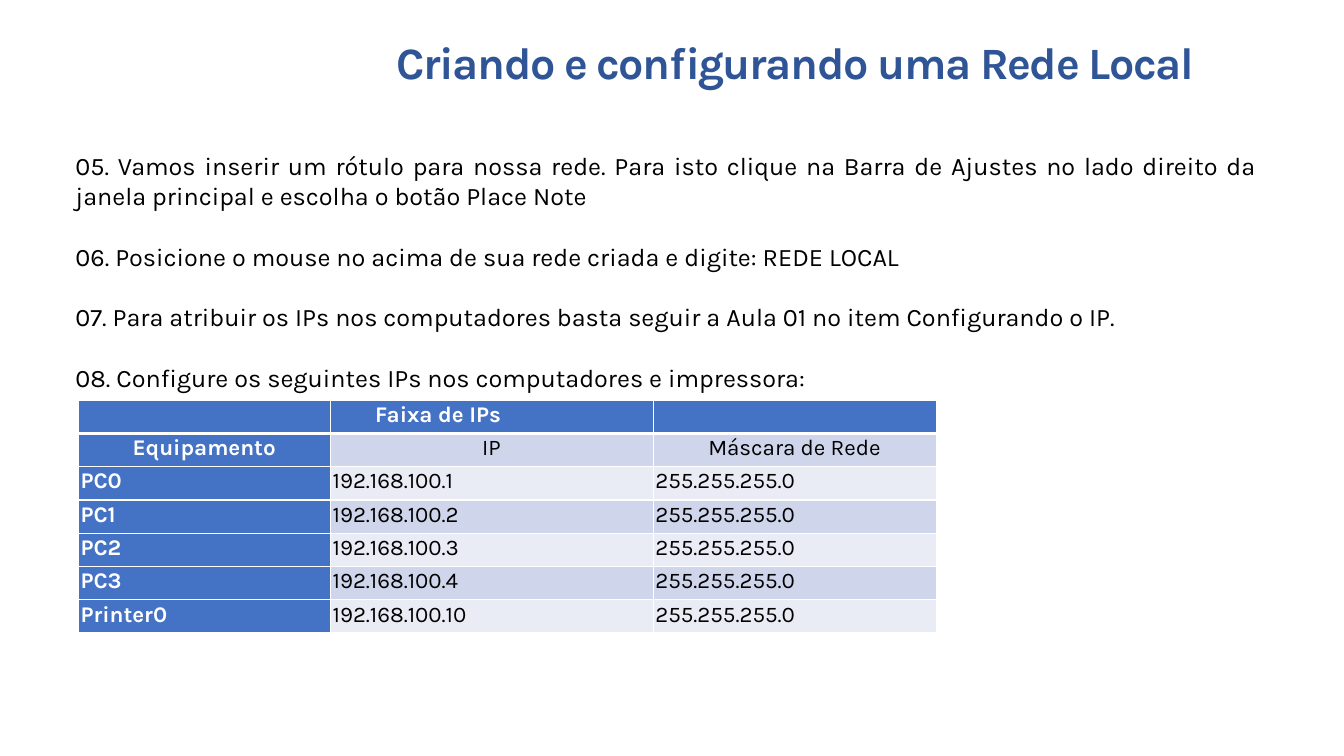
from dataclasses import dataclass

from lxml.etree import SubElement
from pptx import Presentation
from pptx.dml.color import RGBColor
from pptx.enum.text import PP_ALIGN
from pptx.oxml import parse_xml
from pptx.oxml.ns import nsdecls
from pptx.slide import Slide
from pptx.table import _Cell
from pptx.text.text import _Paragraph
from pptx.util import Inches, Pt

FONT = "Karla"
BLACK = RGBColor(0x00, 0x00, 0x00)
WHITE = RGBColor(0xFF, 0xFF, 0xFF)
TITLE_BLUE = RGBColor(0x2F, 0x55, 0x97)
HEADER_BLUE = RGBColor(0x44, 0x72, 0xC4)
BANDS = (RGBColor(0xE9, 0xEB, 0xF5), RGBColor(0xCF, 0xD5, 0xEA))

STEPS = (
    "05. Vamos inserir um rótulo para nossa rede. Para isto clique na Barra de Ajustes "
    "no lado direito da janela principal e escolha o botão Place Note",
    "06. Posicione o mouse no acima de sua rede criada e digite: REDE LOCAL",
    "07. Para atribuir os IPs nos computadores basta seguir a Aula 01 no item Configurando o IP.",
    "08. Configure os seguintes IPs nos computadores e impressora:",
)
MASK = "255.255.255.0"
COLUMN_WIDTHS = (2.5, 3.2, 2.81)
ROW_HEIGHT = 0.33


@dataclass(frozen=True)
class Device:
    name: str
    address: str


DEVICES = (
    Device("PC0", "192.168.100.1"),
    Device("PC1", "192.168.100.2"),
    Device("PC2", "192.168.100.3"),
    Device("PC3", "192.168.100.4"),
    Device("Printer0", "192.168.100.10"),
)


def style_runs(para: _Paragraph, size: float, color: RGBColor, bold: bool = False) -> None:
    for span in para.runs:
        span.font.name = FONT
        span.font.size = Pt(size)
        span.font.bold = bold
        span.font.color.rgb = color


def add_title(page: Slide) -> None:
    box = page.shapes.add_textbox(Inches(3.18), Inches(0.4), Inches(9.41), Inches(0.47))
    frame = box.text_frame
    frame.word_wrap = True
    frame.margin_left = frame.margin_right = frame.margin_top = frame.margin_bottom = 0
    frame.text = "Criando e configurando uma Rede Local"
    para = frame.paragraphs[0]
    para.alignment = PP_ALIGN.CENTER
    para.line_spacing = 0.9
    style_runs(para, 32, TITLE_BLUE, True)
    para.runs[0].font._element.set("spc", "-100")


def add_steps(page: Slide) -> None:
    box = page.shapes.add_textbox(Inches(0.65), Inches(1.44), Inches(11.91), Inches(2.52))
    frame = box.text_frame
    frame.word_wrap = True
    frame.text = "\n".join(STEPS)
    for index, para in enumerate(frame.paragraphs):
        para.alignment = PP_ALIGN.JUSTIFY
        para.space_before = Pt(21.6 if index else 0)
        style_runs(para, 18, BLACK)


def set_borders(cell: _Cell, row: int) -> None:
    widths = {"lnL": 1, "lnR": 1, "lnT": 3 if row == 1 else 1, "lnB": 3 if row == 0 else 1}
    properties = cell._tc.get_or_add_tcPr()
    for position, (side, width) in enumerate(widths.items()):
        border = parse_xml(
            f'<a:{side} {nsdecls("a")} w="{Pt(width)}"><a:solidFill>'
            f'<a:srgbClr val="{WHITE}"/></a:solidFill></a:{side}>'
        )
        properties.insert(position, border)


def fill_cell(cell: _Cell, text: str, row: int, column: int) -> None:
    is_header = row == 0 or column == 0
    cell.fill.solid()
    cell.fill.fore_color.rgb = HEADER_BLUE if is_header else BANDS[row % 2]
    set_borders(cell, row)
    cell.margin_left, cell.margin_right = Inches(0.02), Inches(0.08)
    cell.margin_top = cell.margin_bottom = 0
    cell.text_frame.text = text
    para = cell.text_frame.paragraphs[0]
    para.line_spacing = 1.07
    if row == 1:
        para.alignment = PP_ALIGN.CENTER
    indents = {0: 0.43, 1: 0.06}
    properties = para._p.get_or_add_pPr()
    properties.set("marL", str(Inches(indents.get(row, 0.01))))
    properties.set("indent", str(Inches(-0.01)))
    style_runs(para, 16, WHITE if is_header else BLACK, is_header)
    if not text:
        SubElement(para._p, "{http://schemas.openxmlformats.org/drawingml/2006/main}endParaRPr", sz="1600")


def add_address_table(page: Slide) -> None:
    rows = [("", "Faixa de IPs", ""), ("Equipamento", "IP", "Máscara de Rede")]
    rows += [(device.name, device.address, MASK) for device in DEVICES]
    frame = page.shapes.add_table(
        len(rows), len(COLUMN_WIDTHS), Inches(0.78), Inches(3.97),
        Inches(sum(COLUMN_WIDTHS)), Inches(ROW_HEIGHT * len(rows)),
    )
    table = frame.table
    table.first_col = True
    for column, width in zip(table.columns, COLUMN_WIDTHS):
        column.width = Inches(width)
    for row, values in enumerate(rows):
        table.rows[row].height = Inches(ROW_HEIGHT)
        for column, text in enumerate(values):
            fill_cell(table.cell(row, column), text, row, column)


def main() -> None:
    deck = Presentation()
    deck.slide_width, deck.slide_height = Inches(13.33), Inches(7.5)
    page = deck.slides.add_slide(deck.slide_layouts[6])
    add_steps(page)
    add_address_table(page)
    add_title(page)
    deck.save("out.pptx")


if __name__ == "__main__":
    main()
